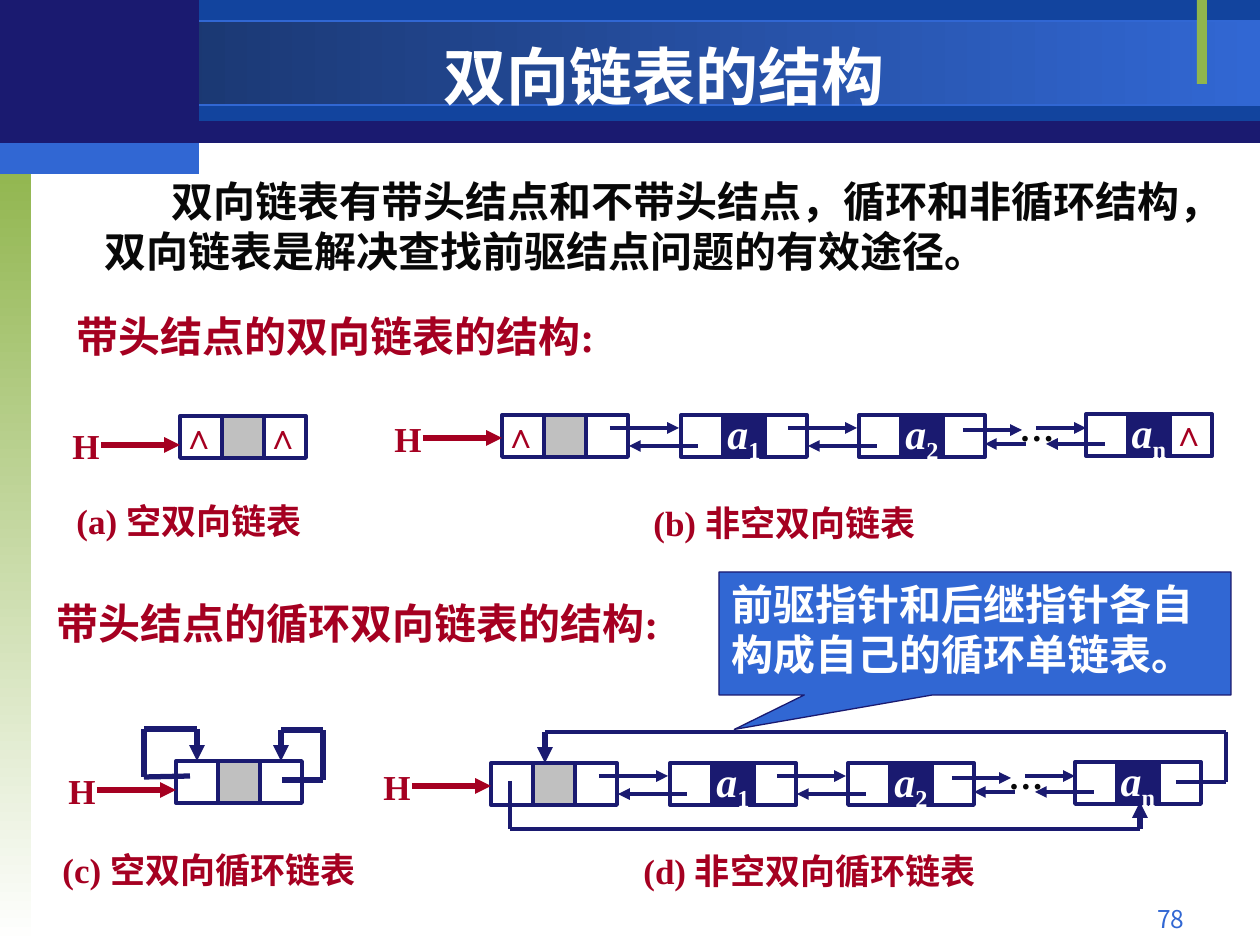
from dataclasses import dataclass

from lxml.etree import SubElement as Sub
from pptx import Presentation
from pptx.dml.color import RGBColor as Rgb
from pptx.enum.shapes import MSO_CONNECTOR as Conn, MSO_SHAPE as Kind
from pptx.enum.text import MSO_ANCHOR as Anchor, MSO_AUTO_SIZE as Auto, PP_ALIGN as Align
from pptx.oxml.ns import qn
from pptx.util import Emu, Pt

SCALE = 914400 / 126
CELL = 42


@dataclass(frozen=True)
class Theme:
    navy: str = "1A1A70"
    deep: str = "12449E"
    dusk: str = "173062"
    blue: str = "3167D3"
    green: str = "90B54D"
    red: str = "A50021"
    gray: str = "C0C0C0"
    black: str = "080808"
    white: str = "FFFFFF"
    serif: str = "Times New Roman"
    sans: str = "Arial"
    cjk: str = "Noto Sans CJK SC"
    title: int = 36
    head: int = 24
    label: int = 20
    page: int = 14
    hair: float = 0.75
    thin: float = 2.25
    thick: float = 3


T = Theme()
TITLE = dict(name=T.cjk, size=T.title, color=T.white, bold=True)
PAGE = dict(name=T.cjk, size=T.page, color=T.blue)
BODY = dict(name=T.serif, size=T.head, color=T.black, bold=True)
HEAD = dict(BODY, color=T.red)
LABEL = dict(HEAD, size=T.label)
DOTS = dict(LABEL, color=T.black)
NULL = dict(LABEL, name=T.sans)
NOTE = dict(BODY, name=T.sans, color=T.white)
ITEM = dict(BODY, color=T.white, italic=True)
INDEX = dict(ITEM, italic=False)


def px(*vals):
    return [Emu(round(v * SCALE)) for v in vals]


def write(para, text, style):
    run = para.add_run()
    run.text = text
    for key, val in style.items():
        if key == "color":
            run.font.color.rgb = Rgb.from_string(val)
        else:
            setattr(run.font, key, Pt(val) if key == "size" else val)
    props = run.font._element
    Sub(props, qn("a:ea")).set("typeface", T.cjk)
    return props


def add_text(slide, box, text, style, wrap=True, indent=0, inset=True, **form):
    frame = slide.shapes.add_textbox(*px(*box)).text_frame
    frame.word_wrap = wrap
    if not wrap:
        frame.auto_size = Auto.SHAPE_TO_FIT_TEXT
    if not inset:
        for side in ("left", "right", "top", "bottom"):
            setattr(frame, f"margin_{side}", 0)
    para = frame.paragraphs[0]
    for key, val in form.items():
        setattr(frame if key == "vertical_anchor" else para, key, val)
    if indent:
        para._p.get_or_add_pPr().set("indent", str(px(indent)[0]))
    write(para, text, style)


def add_box(slide, box, fill=None, line=None, width=T.thin, kind=Kind.RECTANGLE, angle=0):
    """A fill may be None, one colour, or a pair of gradient colours."""
    shape = slide.shapes.add_shape(kind, *px(*box))
    shape.shadow.inherit = False
    if fill is None:
        shape.fill.background()
    elif isinstance(fill, tuple):
        shape.fill.gradient()
        shape.fill.gradient_angle = angle
        for stop, tone in zip(shape.fill.gradient_stops, fill):
            stop.color.rgb = Rgb.from_string(tone)
    else:
        shape.fill.solid()
        shape.fill.fore_color.rgb = Rgb.from_string(fill)
    if line:
        shape.line.color.rgb = Rgb.from_string(line)
        shape.line.width = Pt(width)
    else:
        shape.line.fill.background()
    return shape


def add_line(slide, start, end, color=T.navy, width=T.thin, tip=True):
    link = slide.shapes.add_connector(Conn.STRAIGHT, *px(*start, *end))
    link.line.color.rgb = Rgb.from_string(color)
    link.line.width = Pt(width)
    if tip:
        Sub(link.line._ln, qn("a:tailEnd")).set("type", "triangle")
    Sub(link._element.spPr, qn("a:effectLst"))


def add_route(slide, *points, width=T.thin):
    """Join the points in turn; the last leg carries a thick arrow."""
    last = len(points) - 2
    for i, (start, end) in enumerate(zip(points, points[1:])):
        add_line(slide, start, end, width=T.thick if i == last else width, tip=i == last)


def add_node(slide, x, y, index=None):
    """Three cells; without an index it is the grey head node."""
    fills = (None, T.navy if index else T.gray, None)
    cells = [add_box(slide, (x + i * CELL, y, CELL, CELL), fill, T.navy)
             for i, fill in enumerate(fills)]
    if index:
        frame = cells[1].text_frame
        frame.word_wrap = False
        frame.vertical_anchor = Anchor.MIDDLE
        para = frame.paragraphs[0]
        para.alignment = Align.CENTER
        write(para, "a", ITEM)
        write(para, index, INDEX).set("baseline", "-25000")


def add_head(slide, x, y):
    """The H pointer whose arrow ends at x, y."""
    add_text(slide, (x - 120, y - 27, 54, 55), "H", LABEL)
    add_line(slide, (x - 79, y), (x, y), T.red, T.thick)


def add_null(slide, x, y):
    add_text(slide, (x - 11, y - 8, 60, 55), "∧", NULL, wrap=False)


def add_chain(slide, x, y):
    add_node(slide, x, y)
    for dx, dy, index in ((179, 0, "1"), (357, 0, "2"), (584, -1, "n")):
        add_node(slide, x + dx, y + dy, index)
    add_head(slide, x, y + 23)
    add_text(slide, (x + 505, y - 15, 60, 55), "…", DOTS, wrap=False)
    links = ((108, 177, 13), (286, 355, 13), (461, 520, 15), (534, 584, 13),
             (196, 127, 31), (375, 306, 31), (524, 483, 29), (603, 544, 29))
    for start, end, dy in links:
        add_line(slide, (x + start, y + dy), (x + end, y + dy))


def add_frame(slide):
    add_box(slide, (0, 1, 1260, 142), T.navy)
    add_box(slide, (199, 0, 1061, 121), T.deep)
    add_box(slide, (0, 21, 1260, 84), (T.dusk, T.blue), T.blue, T.hair)
    add_box(slide, (0, 157, 31, 788), (T.green, T.white), angle=270)
    add_box(slide, (1197, 0, 10, 84), T.green)
    add_box(slide, (0, 0, 199, 147), T.navy)
    add_box(slide, (0, 143, 199, 31), T.blue)
    add_text(slide, (212, 34, 904, 79), "双向链表的结构", TITLE, inset=False,
             alignment=Align.CENTER, vertical_anchor=Anchor.BOTTOM)
    add_text(slide, (903, 898, 294, 34), "78", PAGE, alignment=Align.RIGHT)


def add_words(slide):
    add_text(slide, (92, 169, 1102, 113),
             "双向链表有带头结点和不带头结点，循环和非循环结构，双向链表是解决查找前驱结点问题的有效途径。",
             BODY, indent=67)
    for x, y, text in ((64, 304, "带头结点的双向链表的结构:"),
                       (44, 591, "带头结点的循环双向链表的结构:")):
        add_text(slide, (x, y, 645, 63), text, HEAD)
    for x, y, text in ((64, 493, "(a) 空双向链表"), (641, 495, "(b) 非空双向链表"),
                       (50, 842, "(c) 空双向循环链表"), (631, 843, "(d) 非空双向循环链表")):
        add_text(slide, (x, y, 365, 55), text, LABEL)


def add_note(slide):
    shape = add_box(slide, (719, 572, 512, 123), T.blue, T.navy, T.hair,
                    Kind.RECTANGULAR_CALLOUT)
    shape.adjustments[0], shape.adjustments[1] = -0.47, 0.78
    frame = shape.text_frame
    frame.word_wrap = True
    frame.vertical_anchor = Anchor.TOP
    para = frame.paragraphs[0]
    para.alignment = Align.LEFT
    write(para, "前驱指针和后继指针各自构成自己的循环单链表。", NOTE)


def add_plain(slide):
    add_node(slide, 180, 416)
    add_head(slide, 180, 445)
    add_chain(slide, 502, 415)
    for x, y in ((180, 416), (180 + 2 * CELL, 416), (502, 415), (1170, 413)):
        add_null(slide, x, y)


def add_rings(slide):
    add_node(slide, 176, 761)
    add_head(slide, 176, 790)
    add_route(slide, (190, 776), (144, 777), (144, 729), (197, 729), (197, 761),
              width=T.thick)
    add_route(slide, (282, 780), (323, 780), (323, 730), (281, 730), (281, 761),
              width=T.thick)
    add_chain(slide, 491, 763)
    add_route(slide, (1176, 782), (1226, 782), (1226, 732), (545, 732), (545, 763))
    add_route(slide, (510, 781), (510, 829), (1140, 829), (1140, 802))


def main():
    deck = Presentation()
    deck.slide_width, deck.slide_height = px(1260, 945)
    slide = deck.slides.add_slide(deck.slide_layouts[6])
    for part in (add_frame, add_words, add_note, add_plain, add_rings):
        part(slide)
    deck.save("out.pptx")


if __name__ == "__main__":
    main()
